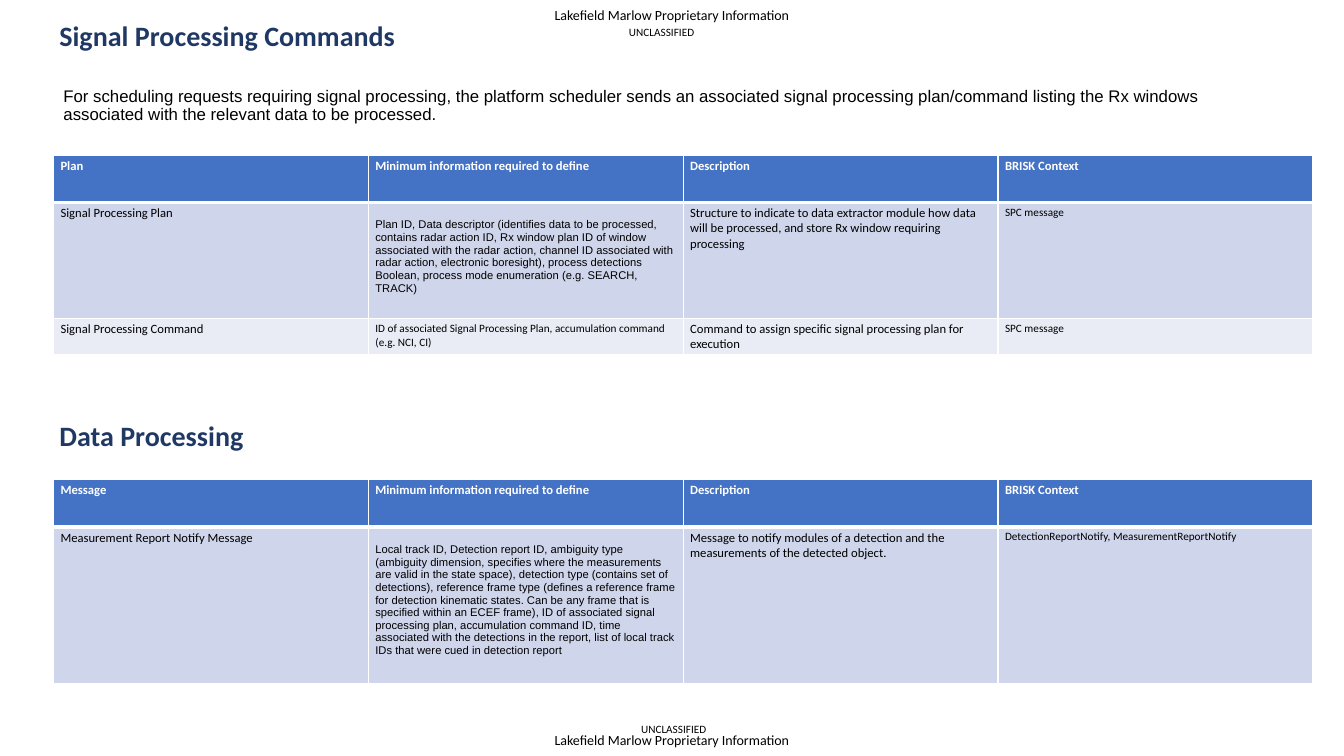
import dataclasses

import lxml.etree
import pptx
import pptx.dml.color
import pptx.enum.text
import pptx.oxml.ns
import pptx.util


@dataclasses.dataclass(frozen=True)
class Theme:
    heading: str = "Calibri"
    body: str = "Arial"
    black: str = "000000"
    white: str = "FFFFFF"
    navy: str = "203864"
    header_fill: str = "4472C4"
    bands: tuple = ("CFD5EA", "E9EBF5")
    title: int = 20
    lead: int = 12
    notice: int = 10
    cell: int = 9
    small: int = 8
    thin: int = 1
    thick: int = 3


class SlideBuilder:
    def __init__(self, prs, theme):
        self.theme = theme
        self.width, self.height = prs.slide_width, prs.slide_height
        self.s = prs.slides.add_slide(prs.slide_layouts[6])

    def x(self, share):
        """Turn a percentage of the slide width into a length."""
        return round(self.width * share / 100)

    def y(self, share):
        """Turn a percentage of the slide height into a length."""
        return round(self.height * share / 100)

    def box(self, at):
        left, top, width, height = at
        return self.x(left), self.y(top), self.x(width), self.y(height)

    def add_words(self, tf, text, size, font=None, color=None, bold=False, spacing=None):
        p = tf.paragraphs[0]
        if spacing:
            p.line_spacing = spacing
        r = p.add_run()
        r.text = text
        style = {"name": font or self.theme.heading,
                 "size": pptx.util.Pt(size), "bold": bold}
        for key, value in style.items():
            setattr(r.font, key, value)
        r.font.color.rgb = pptx.dml.color.RGBColor.from_string(color or self.theme.black)

    def text(self, at, text, size, frame=None, **style):
        tf = self.s.shapes.add_textbox(*self.box(at)).text_frame
        layout = {"word_wrap": True,
                  "vertical_anchor": pptx.enum.text.MSO_ANCHOR.TOP, **(frame or {})}
        for key, value in layout.items():
            setattr(tf, key, value)
        self.add_words(tf, text, size, **style)

    def notice(self, top):
        flush = dict.fromkeys(
            ("margin_left", "margin_top", "margin_right", "margin_bottom"), 0)
        self.text((41.26, top, 17.7, 2.27), "Lakefield Marlow Proprietary Information",
                  self.theme.notice, frame={**flush, "word_wrap": False})

    def marking(self, left, top):
        self.text((left, top, 7.73, 1.33), "UNCLASSIFIED", self.theme.small, spacing=0.9)

    def title(self, top, text):
        self.text((3.68, top, 80.65, 10), text, self.theme.title,
                  color=self.theme.navy, bold=True, spacing=0.9)

    def borders(self, cell, row):
        """Draw white cell edges, with a thick rule under the header row."""
        tcPr = cell._tc.get_or_add_tcPr()
        qn = pptx.oxml.ns.qn
        thick_edge = {0: "lnB", 1: "lnT"}.get(row)
        for edge in ("lnL", "lnR", "lnT", "lnB"):
            points = self.theme.thick if edge == thick_edge else self.theme.thin
            ln = lxml.etree.SubElement(tcPr, qn(f"a:{edge}"), w=str(pptx.util.Pt(points)))
            fill = lxml.etree.SubElement(ln, qn("a:solidFill"))
            lxml.etree.SubElement(fill, qn("a:srgbClr"), val=self.theme.white)

    def table(self, top, heights, rows):
        """Add a table whose rows hold strings or (text, size, style) tuples."""
        th = self.theme
        at = (3.98, top, 93.7, sum(heights))
        table = self.s.shapes.add_table(len(rows), len(rows[0]), *self.box(at)).table
        for column in table.columns:
            column.width = self.x(93.7 / len(rows[0]))
        for i, (height, row) in enumerate(zip(heights, rows)):
            table.rows[i].height = self.y(height)
            band = th.bands[(i - 1) % 2] if i else th.header_fill
            header = {} if i else {"color": th.white, "bold": True}
            for j, entry in enumerate(row):
                text, size, style = (entry, th.cell, {}) if isinstance(entry, str) else entry
                cell = table.cell(i, j)
                self.borders(cell, i)
                cell.fill.solid()
                cell.fill.fore_color.rgb = pptx.dml.color.RGBColor.from_string(band)
                lowered = style.get("font") == th.body
                margins = {"margin_left": 0.07, "margin_right": 0.07,
                           "margin_top": 0.16 if lowered else 0.03, "margin_bottom": 0.03}
                for key, value in margins.items():
                    setattr(cell, key, pptx.util.Inches(value))
                self.add_words(cell.text_frame, text, size, **style, **header)


def main():
    prs = pptx.Presentation()
    prs.slide_width = pptx.util.Inches(13.33)
    prs.slide_height = pptx.util.Inches(7.5)
    th = Theme()
    s = SlideBuilder(prs, th)
    headings = ("Minimum information required to define", "Description", "BRISK Context")

    def small(text):
        return text, th.small, {}

    def detail(text):
        return text, th.small, {"font": th.body}

    for top in (0.93, 96.8):
        s.notice(top)
    s.text((3.98, 6.93, 90.55, 62.93),
           "For scheduling requests requiring signal processing, the platform scheduler sends "
           "an associated signal processing plan/command listing the Rx windows associated "
           "with the relevant data to be processed.",
           th.lead, frame={"margin_top": pptx.util.Inches(0.35)},
           font=th.body, spacing=0.9)
    s.table(20.53, (6.27, 15.33, 4.8), [
        ("Plan", *headings),
        ("Signal Processing Plan",
         detail("Plan ID, Data descriptor (identifies data to be processed, contains radar "
                "action ID, Rx window plan ID of window associated with the radar action, "
                "channel ID associated with radar action, electronic boresight), process "
                "detections Boolean, process mode enumeration (e.g. SEARCH, TRACK)"),
         "Structure to indicate to data extractor module how data will be processed, "
         "and store Rx window requiring processing",
         small("SPC message")),
        ("Signal Processing Command",
         small("ID of associated Signal Processing Plan, accumulation command (e.g. NCI, CI)"),
         "Command to assign specific signal processing plan for execution",
         small("SPC message")),
    ])
    s.marking(46.06, 2.93)
    s.marking(46.96, 95.07)
    s.title(2.27, "Signal Processing Commands")
    s.title(55.2, "Data Processing")
    s.table(63.47, (6.27, 20.67), [
        ("Message", *headings),
        ("Measurement Report Notify Message",
         detail("Local track ID, Detection report ID, ambiguity type (ambiguity dimension, "
                "specifies where the measurements are valid in the state space), detection "
                "type (contains set of detections), reference frame type (defines a reference "
                "frame for detection kinematic states. Can be any frame that is specified "
                "within an ECEF frame), ID of associated signal processing plan, accumulation "
                "command ID, time associated with the detections in the report, list of local "
                "track IDs that were cued in detection report"),
         "Message to notify modules of a detection and the measurements of the detected object.",
         small("DetectionReportNotify, MeasurementReportNotify")),
    ])
    prs.save("out.pptx")


if __name__ == "__main__":
    main()
